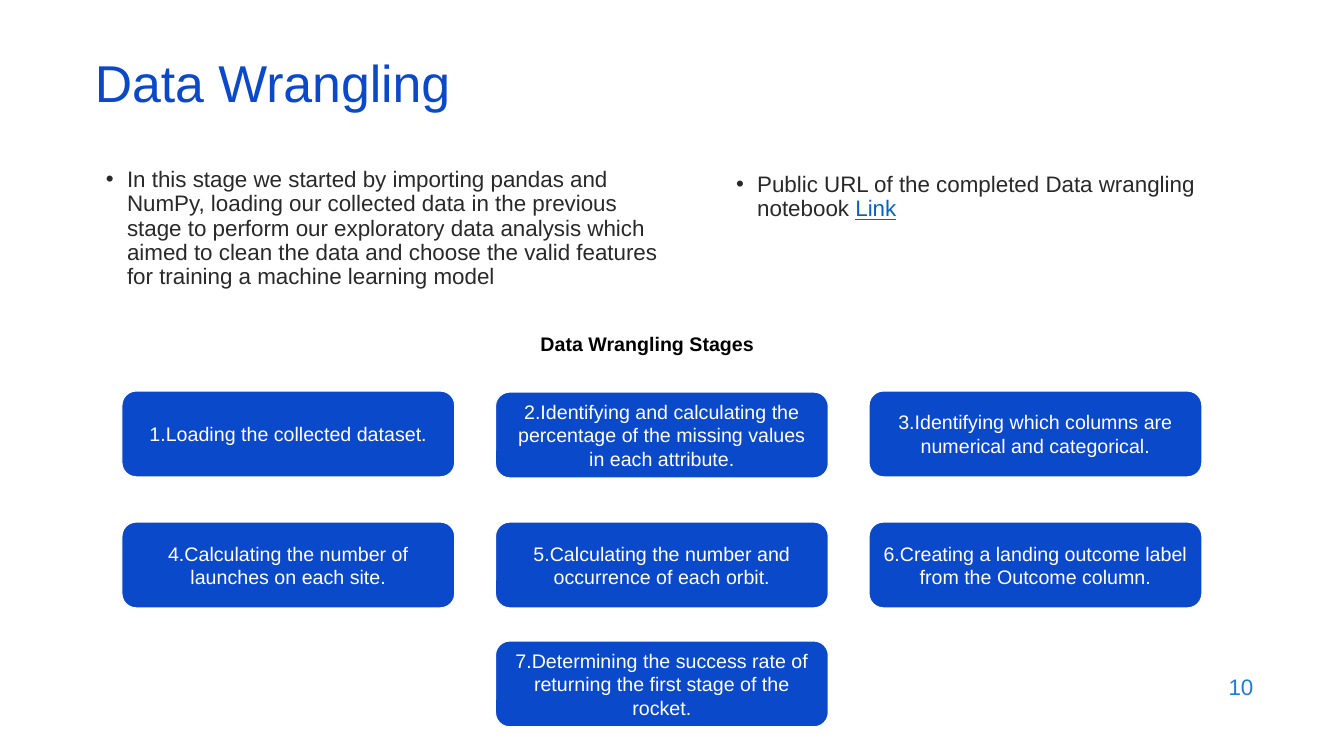
from dataclasses import dataclass

import pptx
import pptx.dml.color
import pptx.enum.shapes
import pptx.enum.text
import pptx.oxml.ns
import pptx.util
from lxml import etree

Inches = pptx.util.Inches
RGBColor = pptx.dml.color.RGBColor
ALIGN = pptx.enum.text.PP_ALIGN
ANCHOR = pptx.enum.text.MSO_ANCHOR

BLUE = RGBColor(0x0B, 0x49, 0xCB)
PAGE_BLUE = RGBColor(0x1C, 0x7D, 0xDB)
LINK_BLUE = RGBColor(0x05, 0x63, 0xC1)
DARK = RGBColor(0x29, 0x29, 0x29)
BLACK = RGBColor(0, 0, 0)
WHITE = RGBColor(0xFF, 0xFF, 0xFF)


@dataclass(frozen=True)
class Stage:
    text: str
    column: int
    top: float


ROW_TOPS = (3.88, 5.18, 6.36)
FIRST_LEFT, LAST_LEFT = 1.21, 8.62
COLUMN_PITCH = (LAST_LEFT - FIRST_LEFT) / 2

STAGES = (
    Stage("1.Loading the collected dataset.", 0, ROW_TOPS[0]),
    Stage("2.Identifying and calculating the percentage of the missing values "
          "in each attribute.", 1, ROW_TOPS[0] + 0.01),
    Stage("3.Identifying which columns are numerical and categorical.", 2, ROW_TOPS[0]),
    Stage("4.Calculating the number of launches on each site.", 0, ROW_TOPS[1]),
    Stage("5.Calculating the number and occurrence of each orbit.", 1, ROW_TOPS[1]),
    Stage("6.Creating a landing outcome label from the Outcome column.", 2, ROW_TOPS[1]),
    Stage("7.Determining the success rate of returning the first stage of the "
          "rocket.", 1, ROW_TOPS[2]),
)


def place(shape, left: float, top: float, width: float, height: float) -> None:
    shape.left, shape.top = Inches(left), Inches(top)
    shape.width, shape.height = Inches(width), Inches(height)


def add_run(paragraph, text: str, size: float, color: RGBColor,
            bold: bool = False, underline: bool = False) -> None:
    run = paragraph.add_run()
    run.text = text
    run.font.name = "Arial"
    run.font.size = pptx.util.Pt(size)
    run.font.color.rgb = color
    run.font.bold = bold
    run.font.underline = underline


def write(shape, text: str, *, size: float, color: RGBColor, align=ALIGN.LEFT,
          anchor=ANCHOR.TOP, bold: bool = False, spacing: float = 1.0,
          inset: float = 0.05):
    """Put one formatted paragraph in a shape and return the paragraph."""
    frame = shape.text_frame
    frame.word_wrap = True
    frame.auto_size = pptx.enum.text.MSO_AUTO_SIZE.NONE
    frame.vertical_anchor = anchor
    frame.margin_left = frame.margin_right = Inches(0.1)
    frame.margin_top = frame.margin_bottom = Inches(inset)
    paragraph = frame.paragraphs[0]
    paragraph.alignment = align
    paragraph.line_spacing = spacing
    paragraph.space_before = pptx.util.Pt(0)
    add_run(paragraph, text, size, color, bold)
    return paragraph


def add_bullet(paragraph) -> None:
    qn = pptx.oxml.ns.qn
    properties = paragraph._p.get_or_add_pPr()
    properties.set("marL", str(Inches(0.25)))
    properties.set("indent", str(Inches(-0.21)))
    bullet_color = etree.SubElement(properties, qn("a:buClr"))
    etree.SubElement(bullet_color, qn("a:srgbClr"), val=str(DARK))
    etree.SubElement(properties, qn("a:buFont"), typeface="Arial")
    etree.SubElement(properties, qn("a:buChar"), char="•")


def draw_stage(slide, stage: Stage) -> None:
    box = slide.shapes.add_shape(
        pptx.enum.shapes.MSO_SHAPE.ROUNDED_RECTANGLE,
        Inches(FIRST_LEFT + stage.column * COLUMN_PITCH), Inches(stage.top),
        Inches(3.3), Inches(0.85))
    box.shadow.inherit = False
    box.fill.solid()
    box.fill.fore_color.rgb = BLUE
    box.line.color.rgb = WHITE
    box.line.width = pptx.util.Pt(0.75)
    write(box, stage.text, size=14, color=WHITE, align=ALIGN.CENTER,
          anchor=ANCHOR.MIDDLE, inset=0.1)


def main() -> None:
    deck = pptx.Presentation()
    deck.slide_width, deck.slide_height = Inches(13.33), Inches(7.5)
    slide = deck.slides.add_slide(deck.slide_layouts.get_by_name("Two Content"))
    title, summary, notebook = slide.placeholders

    # Title
    place(title, 0.84, 0.59, 11.5, 0.6)
    write(title, "Data Wrangling", size=37, color=BLUE, anchor=ANCHOR.MIDDLE, spacing=0.7)

    # Introduction and notebook link
    place(summary, 0.91, 1.62, 5.76, 1.44)
    add_bullet(write(
        summary,
        "In this stage we started by importing pandas and NumPy, loading our "
        "collected data in the previous stage to perform our exploratory data "
        "analysis which aimed to clean the data and choose the valid features "
        "for training a machine learning model",
        size=16, color=DARK, spacing=0.9))
    place(notebook, 7.16, 1.67, 5.76, 1.44)
    notebook_line = write(notebook, "Public URL of the completed Data wrangling notebook ",
                          size=16, color=DARK, spacing=0.9)
    add_bullet(notebook_line)
    add_run(notebook_line, "Link", 16, LINK_BLUE, underline=True)

    # Stages
    heading = slide.shapes.add_textbox(Inches(4.78), Inches(3.19), Inches(3.28), Inches(0.44))
    write(heading, "Data Wrangling Stages", size=14, color=BLACK, bold=True,
          align=ALIGN.CENTER, inset=0.1)
    for stage in STAGES:
        draw_stage(slide, stage)

    # Page number
    page_number = slide.shapes.add_textbox(Inches(9.53), Inches(6.59), Inches(3), Inches(0.44))
    write(page_number, "10", size=16, color=PAGE_BLUE, align=ALIGN.RIGHT, anchor=ANCHOR.MIDDLE)

    deck.save("out.pptx")


if __name__ == "__main__":
    main()
